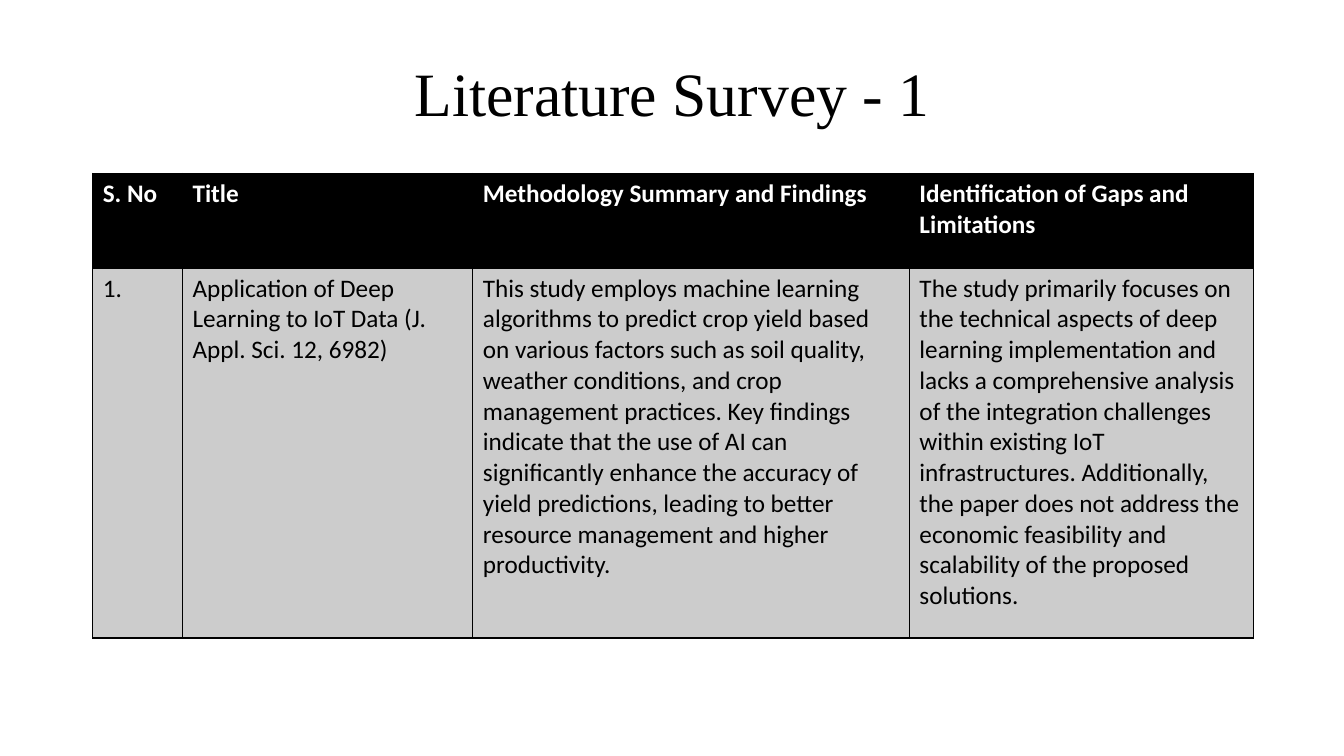
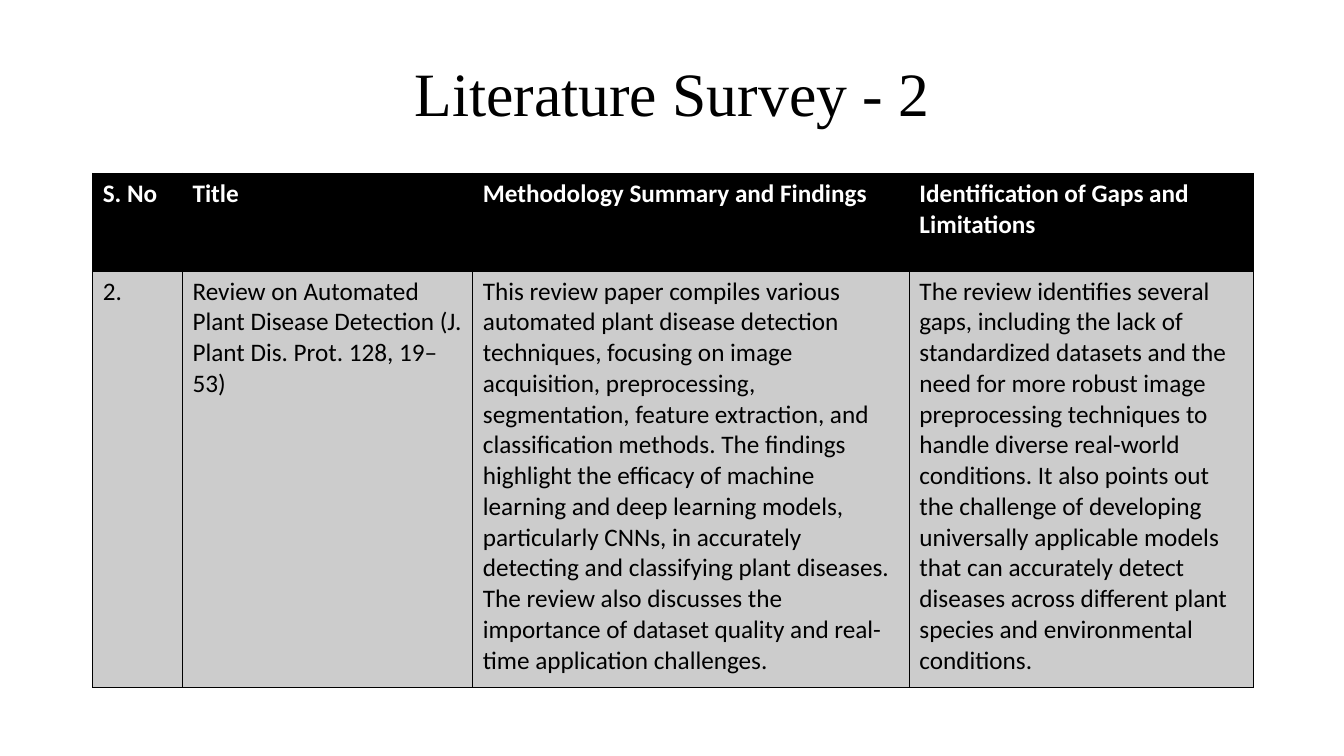
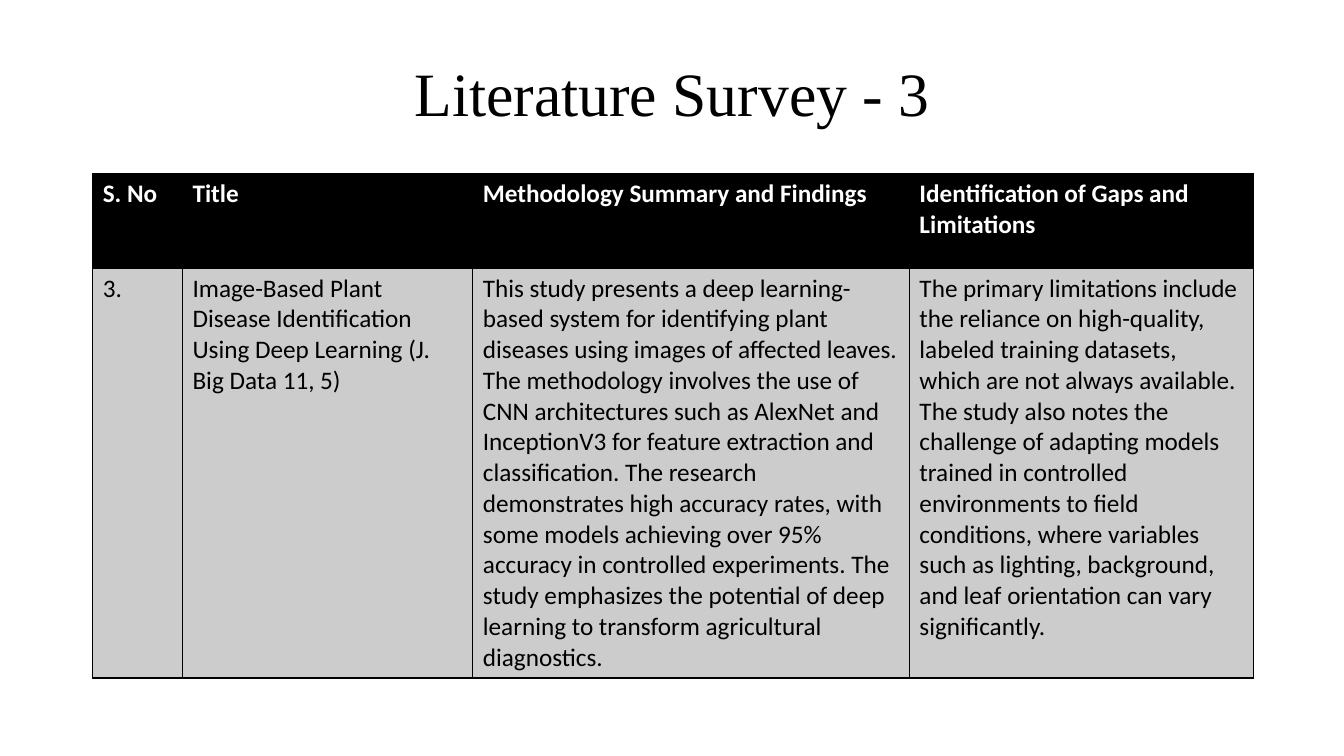
from lxml.etree import SubElement
from pptx import Presentation
from pptx.dml.color import RGBColor
from pptx.enum.text import MSO_ANCHOR as Anchor, PP_ALIGN as Align
from pptx.oxml.ns import qn
from pptx.util import Inches, Pt

BLACK = RGBColor(0x00, 0x00, 0x00)
WHITE = RGBColor(0xFF, 0xFF, 0xFF)
GREY = RGBColor(0xCC, 0xCC, 0xCC)

TITLE_FONT = "Times New Roman"
TABLE_FONT = "Calibri"

SLIDE_WIDTH, SLIDE_HEIGHT = 13.33, 7.5
MARGIN = 0.92
CONTENT_WIDTH = 11.5
TITLE_TOP, TITLE_HEIGHT = 0.23, 1.45
TABLE_TOP = 1.72
COLUMN_WIDTHS = (0.89, 2.88, 4.33, 3.41)

HEADERS = ("S. No", "Title", "Methodology Summary and Findings",
           "Identification of Gaps and Limitations")

SURVEYS = (
    ((0.94, 3.67),
     "Application of Deep Learning to IoT Data (J. Appl. Sci. 12, 6982)",
     "This study employs machine learning algorithms to predict crop yield based on "
     "various factors such as soil quality, weather conditions, and crop management "
     "practices. Key findings indicate that the use of AI can significantly enhance the "
     "accuracy of yield predictions, leading to better resource management and higher "
     "productivity.",
     "The study primarily focuses on the technical aspects of deep learning "
     "implementation and lacks a comprehensive analysis of the integration challenges "
     "within existing IoT infrastructures. Additionally, the paper does not address the "
     "economic feasibility and scalability of the proposed solutions."),
    ((0.97, 4.13),
     "Review on Automated Plant Disease Detection (J. Plant Dis. Prot. 128, 19–53)",
     "This review paper compiles various automated plant disease detection techniques, "
     "focusing on image acquisition, preprocessing, segmentation, feature extraction, and "
     "classification methods. The findings highlight the efficacy of machine learning and "
     "deep learning models, particularly CNNs, in accurately detecting and classifying "
     "plant diseases. The review also discusses the importance of dataset quality and "
     "real-time application challenges.",
     "The review identifies several gaps, including the lack of standardized datasets and "
     "the need for more robust image preprocessing techniques to handle diverse real-world "
     "conditions. It also points out the challenge of developing universally applicable "
     "models that can accurately detect diseases across different plant species and "
     "environmental conditions."),
    ((0.94, 4),
     "Image-Based Plant Disease Identification Using Deep Learning (J. Big Data 11, 5)",
     "This study presents a deep learning-based system for identifying plant diseases "
     "using images of affected leaves. The methodology involves the use of CNN "
     "architectures such as AlexNet and InceptionV3 for feature extraction and "
     "classification. The research demonstrates high accuracy rates, with some models "
     "achieving over 95% accuracy in controlled experiments. The study emphasizes the "
     "potential of deep learning to transform agricultural diagnostics.",
     "The primary limitations include the reliance on high-quality, labeled training "
     "datasets, which are not always available. The study also notes the challenge of "
     "adapting models trained in controlled environments to field conditions, where "
     "variables such as lighting, background, and leaf orientation can vary "
     "significantly."),
)


def set_font(paragraph, name, size, color, bold=False):
    """Set the typeface, size, colour and weight of a paragraph."""
    font = paragraph.font
    font.name, font.size, font.bold = name, Pt(size), bold
    font.color.rgb = color


def set_title(slide, text):
    """Place and format the title placeholder."""
    title = slide.shapes.title
    title.left, title.top = Inches(MARGIN), Inches(TITLE_TOP)
    title.width, title.height = Inches(CONTENT_WIDTH), Inches(TITLE_HEIGHT)
    title.text_frame.text = text
    title.text_frame.vertical_anchor = Anchor.MIDDLE
    paragraph = title.text_frame.paragraphs[0]
    paragraph.alignment = Align.CENTER
    paragraph.line_spacing = 0.9
    set_font(paragraph, TITLE_FONT, 44, BLACK)


def add_borders(cell, color, width):
    """Draw a solid line on all four sides of a cell."""
    properties = cell._tc.get_or_add_tcPr()
    for side in ("a:lnL", "a:lnR", "a:lnT", "a:lnB"):
        line = SubElement(properties, qn(side), w=str(Pt(width)))
        fill = SubElement(line, qn("a:solidFill"))
        SubElement(fill, qn("a:srgbClr"), val=str(color))


def fill_cell(cell, text, is_header):
    """Write and style one table cell."""
    add_borders(cell, BLACK, 1)
    cell.fill.solid()
    cell.fill.fore_color.rgb = BLACK if is_header else GREY
    cell.text = text
    set_font(cell.text_frame.paragraphs[0], TABLE_FONT, 18,
             WHITE if is_header else BLACK, is_header)


def add_survey_table(slide, rows, row_heights):
    """Add a table with a header row and a body row."""
    table = slide.shapes.add_table(
        len(rows), len(COLUMN_WIDTHS), Inches(MARGIN), Inches(TABLE_TOP),
        Inches(CONTENT_WIDTH), Inches(sum(row_heights))).table
    table.horz_banding = False
    for column, width in zip(table.columns, COLUMN_WIDTHS):
        column.width = Inches(width)
    for index, (row, height, texts) in enumerate(zip(table.rows, row_heights, rows)):
        row.height = Inches(height)
        for cell, text in zip(row.cells, texts):
            fill_cell(cell, text, is_header=index == 0)


def main():
    """Build one slide for each surveyed paper."""
    presentation = Presentation()
    presentation.slide_width = Inches(SLIDE_WIDTH)
    presentation.slide_height = Inches(SLIDE_HEIGHT)
    title_only = presentation.slide_layouts.get_by_name("Title Only")
    for number, (row_heights, *texts) in enumerate(SURVEYS, start=1):
        slide = presentation.slides.add_slide(title_only)
        set_title(slide, f"Literature Survey - {number}")
        add_survey_table(slide, (HEADERS, (f"{number}.", *texts)), row_heights)
    presentation.save("out.pptx")


if __name__ == "__main__":
    main()
